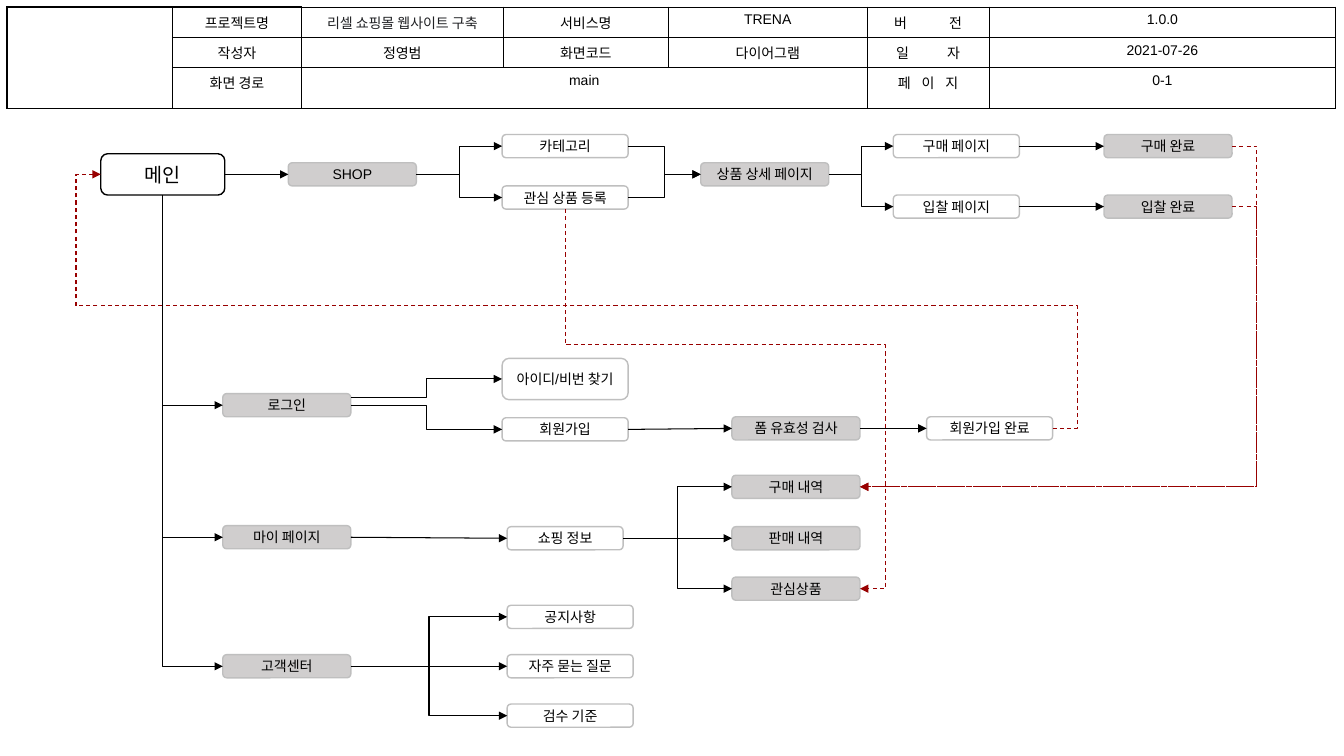
from lxml.etree import SubElement
from pptx import Presentation
from pptx.dml.color import RGBColor
from pptx.enum.dml import MSO_LINE
from pptx.enum.shapes import MSO_CONNECTOR, MSO_SHAPE
from pptx.enum.text import MSO_ANCHOR, PP_ALIGN
from pptx.oxml import parse_xml
from pptx.oxml.ns import nsdecls, qn
from pptx.util import Inches, Pt

BLACK, WHITE, GRAY, EDGE, RED = "000000", "FFFFFF", "D0CECE", "BFBFBF", "980000"
TOP, LEFT, BOTTOM, RIGHT = range(4)
GRAY_WIDTH, WHITE_WIDTH, NODE_HEIGHT = 1.27, 1.25, 0.23

COLUMNS = {"main": 1, "menu": 2.21, "shop": 2.86, "choice": 4.98, "info": 5.03,
           "detail": 6.95, "result": 7.26, "order": 8.86, "joined": 9.19, "done": 10.95}
ROWS = {"buy": 1.45, "main": 1.73, "wish": 1.96, "bid": 2.05,
        "find": 3.76, "login": 4.02, "join": 4.26, "check": 4.25,
        "bought": 4.83, "my": 5.33, "sold": 5.34, "liked": 5.84,
        "notice": 6.12, "help": 6.61, "rules": 7.1}

GRAY_NODES = [("로그인", "menu", "login"), ("마이 페이지", "menu", "my"),
              ("고객센터", "menu", "help"), ("SHOP", "shop", "main"),
              ("상품 상세 페이지", "detail", "main"), ("폼 유효성 검사", "result", "check"),
              ("구매 내역", "result", "bought"), ("판매 내역", "result", "sold"),
              ("관심상품", "result", "liked"), ("구매 완료", "done", "buy"),
              ("입찰 완료", "done", "bid")]
WHITE_NODES = [("카테고리", "choice", "buy"), ("관심 상품 등록", "choice", "wish"),
               ("회원가입", "choice", "join"), ("회원가입 완료", "joined", "check"),
               ("구매 페이지", "order", "buy"), ("입찰 페이지", "order", "bid"),
               ("공지사항", "info", "notice"), ("자주 묻는 질문", "info", "help"),
               ("검수 기준", "info", "rules")]

STEPS = [("메인", "SHOP"), ("회원가입", "폼 유효성 검사"), ("폼 유효성 검사", "회원가입 완료"),
         ("고객센터", "자주 묻는 질문"), ("마이 페이지", "쇼핑 정보"), ("쇼핑 정보", "판매 내역"),
         ("구매 페이지", "구매 완료"), ("입찰 페이지", "입찰 완료")]
BRANCHES = [("로그인", "회원가입"), ("고객센터", "공지사항"), ("고객센터", "검수 기준"),
            ("SHOP", "카테고리"), ("SHOP", "관심 상품 등록"),
            ("카테고리", "상품 상세 페이지"), ("관심 상품 등록", "상품 상세 페이지"),
            ("상품 상세 페이지", "구매 페이지"), ("상품 상세 페이지", "입찰 페이지"),
            ("쇼핑 정보", "구매 내역"), ("쇼핑 정보", "관심상품")]
RETURNS = [("회원가입 완료", RIGHT, "메인", LEFT, (-0.026, 0.482, 1.026)),
           ("관심 상품 등록", BOTTOM, "관심상품", RIGHT, (0.358, 1.085)),
           ("구매 완료", RIGHT, "구매 내역", RIGHT, (-0.067,)),
           ("입찰 완료", RIGHT, "구매 내역", RIGHT, (-0.067,))]

HEADER_COLUMNS = (1.64, 1.28, 2, 1.64, 1.97, 1.21, 1.72, 1.72)
HEADER_ROWS = (0.3, 0.3, 0.38)
HEADER_MERGES = [(0, 0, 2, 0), (0, 6, 0, 7), (1, 6, 1, 7), (2, 2, 2, 4), (2, 6, 2, 7)]
HEADER_TEXT = [
    ("", "프로젝트명", "리셀 쇼핑몰 웹사이트 구축", "서비스명", "TRENA", "버 전", "1.0.0", ""),
    ("", "작성자", "정영범", "화면코드", "다이어그램", "일 자", "2021-07-26", ""),
    ("", "화면 경로", "main", "", "", "페 이 지", "0-1", "")]
LETTER_GAPS = {"버 전": 14, "일 자": 12.5, "페 이 지": 2.8}


def color(hex_code):
    """Turn a hex string into a colour."""
    return RGBColor.from_string(hex_code)


def assign(target, **values):
    """Set several attributes on one object."""
    for attribute, value in values.items():
        setattr(target, attribute, value)


def write(frame, label, size=10, ink=BLACK):
    """Write one centred line, widening the letter gaps where the label asks for it."""
    paragraph = frame.paragraphs[0]
    paragraph.alignment = PP_ALIGN.CENTER
    gap = LETTER_GAPS.get(label)
    for part in (label[:-1], label[-1]) if gap else (label,):
        run = paragraph.add_run()
        run.text = part
        assign(run.font, size=Pt(size), name="Arial")
        run.font.color.rgb = color(ink)
        if gap and part != label[-1]:
            run.font._element.set("spc", str(round(gap * 100)))


def border(cell, weights):
    """Outline a cell, with weights for left, right, top and bottom."""
    properties = cell._tc.get_or_add_tcPr()
    for index, (side, weight) in enumerate(zip("LRTB", weights)):
        properties.insert(index, parse_xml(
            f'<a:ln{side} {nsdecls("a")} w="{Pt(weight)}"><a:solidFill>'
            f'<a:srgbClr val="{BLACK}"/></a:solidFill></a:ln{side}>'))


def add_header(slide):
    """Add the document information table."""
    header = slide.shapes.add_table(
        len(HEADER_ROWS), len(HEADER_COLUMNS), Inches(0.07), Inches(0.07),
        Inches(sum(HEADER_COLUMNS)), Inches(sum(HEADER_ROWS))).table
    assign(header, first_row=False, horz_banding=False)
    for column, width in zip(header.columns, HEADER_COLUMNS):
        column.width = Inches(width)
    for row, height in zip(header.rows, HEADER_ROWS):
        row.height = Inches(height)
    for top, left, bottom, right in HEADER_MERGES:
        header.cell(top, left).merge(header.cell(bottom, right))
    for row, labels in enumerate(HEADER_TEXT):
        for column, label in enumerate(labels):
            cell = header.cell(row, column)
            cell.fill.background()
            border(cell, {0: (1,) * 4, 1: (1, 0.75, 1, 1)}.get(column, (0.75,) * 4))
            if label:
                write(cell.text_frame, label, ink="202124" if (row, column) == (0, 2) else BLACK)


def add_node(slide, label, column, row, width, height=NODE_HEIGHT, fill=WHITE, edge=EDGE, size=10):
    """Add a rounded page box centred on its row."""
    node = slide.shapes.add_shape(
        MSO_SHAPE.ROUNDED_RECTANGLE, Inches(COLUMNS[column]),
        Inches(ROWS[row] - height / 2), Inches(width), Inches(height))
    node.shadow.inherit = False
    node.fill.solid()
    node.fill.fore_color.rgb = color(fill)
    node.line.color.rgb = color(edge)
    node.line.width = Pt(1)
    assign(node.text_frame, word_wrap=True, vertical_anchor=MSO_ANCHOR.MIDDLE)
    write(node.text_frame, label, size)
    return node


def site_point(node, site):
    """Find where a connection site of a node lies."""
    x = node.left + {LEFT: 0, RIGHT: node.width}.get(site, node.width // 2)
    y = node.top + {TOP: 0, BOTTOM: node.height}.get(site, node.height // 2)
    return x, y


def add_link(slide, source, target, start=RIGHT, end=LEFT, bends=None, ink=BLACK, lift=0):
    """Join two nodes by an arrow; bends holds the positions of its middle segments."""
    kind = MSO_CONNECTOR.STRAIGHT if bends is None else MSO_CONNECTOR.ELBOW
    link = slide.shapes.add_connector(kind, 0, 0, 0, 0)
    if not lift:
        link.begin_connect(source, start)
    link.end_connect(target, end)
    (x1, y1), (x2, y2) = site_point(source, start), site_point(target, end)
    y1 -= Inches(lift)
    if start == BOTTOM:
        middle_x, middle_y = (x1 + x2) // 2, (y1 + y2) // 2
        half_width, half_height = (y2 - y1) // 2, (x2 - x1) // 2
        x1, x2 = middle_x + half_width, middle_x - half_width
        y1, y2 = middle_y - half_height, middle_y + half_height
        link._element.spPr.find(qn("a:xfrm")).set("rot", "16200000")
    assign(link, begin_x=x1, begin_y=y1, end_x=x2, end_y=y2)
    if bends is not None:
        outline = link._element.spPr.find(qn("a:prstGeom"))
        outline.set("prst", f"bentConnector{len(bends) + 2}")
        guides = outline.find(qn("a:avLst"))
        for number, share in enumerate(bends, 1):
            SubElement(guides, qn("a:gd"), name=f"adj{number}", fmla=f"val {round(share * 100000)}")
    link.line.color.rgb = color(ink)
    link.line.width = Pt(0.75)
    if ink == RED:
        link.line.dash_style = MSO_LINE.DASH
    SubElement(link.line._get_or_add_ln(), qn("a:tailEnd"), type="triangle")
    SubElement(link._element.spPr, qn("a:effectLst"))


def main():
    """Build the site map slide."""
    deck = Presentation()
    assign(deck, slide_width=Inches(13.33), slide_height=Inches(7.5))
    slide = deck.slides.add_slide(deck.slide_layouts[6])
    add_header(slide)
    pages = {"메인": add_node(slide, "메인", "main", "main", 1.23, 0.41, edge=BLACK, size=14),
             "아이디/비번 찾기": add_node(slide, "아이디/비번 찾기", "choice", "find", WHITE_WIDTH, 0.41),
             "쇼핑 정보": add_node(slide, "쇼핑 정보", "info", "sold", 1.15)}
    for nodes, width, fill in ((GRAY_NODES, GRAY_WIDTH, GRAY), (WHITE_NODES, WHITE_WIDTH, WHITE)):
        for label, column, row in nodes:
            pages[label] = add_node(slide, label, column, row, width, fill=fill)
    for source, target in STEPS:
        add_link(slide, pages[source], pages[target])
    for source, target in BRANCHES:
        add_link(slide, pages[source], pages[target], bends=(0.5,))
    add_link(slide, pages["로그인"], pages["아이디/비번 찾기"], bends=(0.5,), lift=0.08)
    for menu in ("로그인", "마이 페이지", "고객센터"):
        add_link(slide, pages["메인"], pages[menu], start=BOTTOM, bends=())
    for source, start, target, end, bends in RETURNS:
        add_link(slide, pages[source], pages[target], start, end, bends, RED)
    deck.save("out.pptx")


if __name__ == "__main__":
    main()
